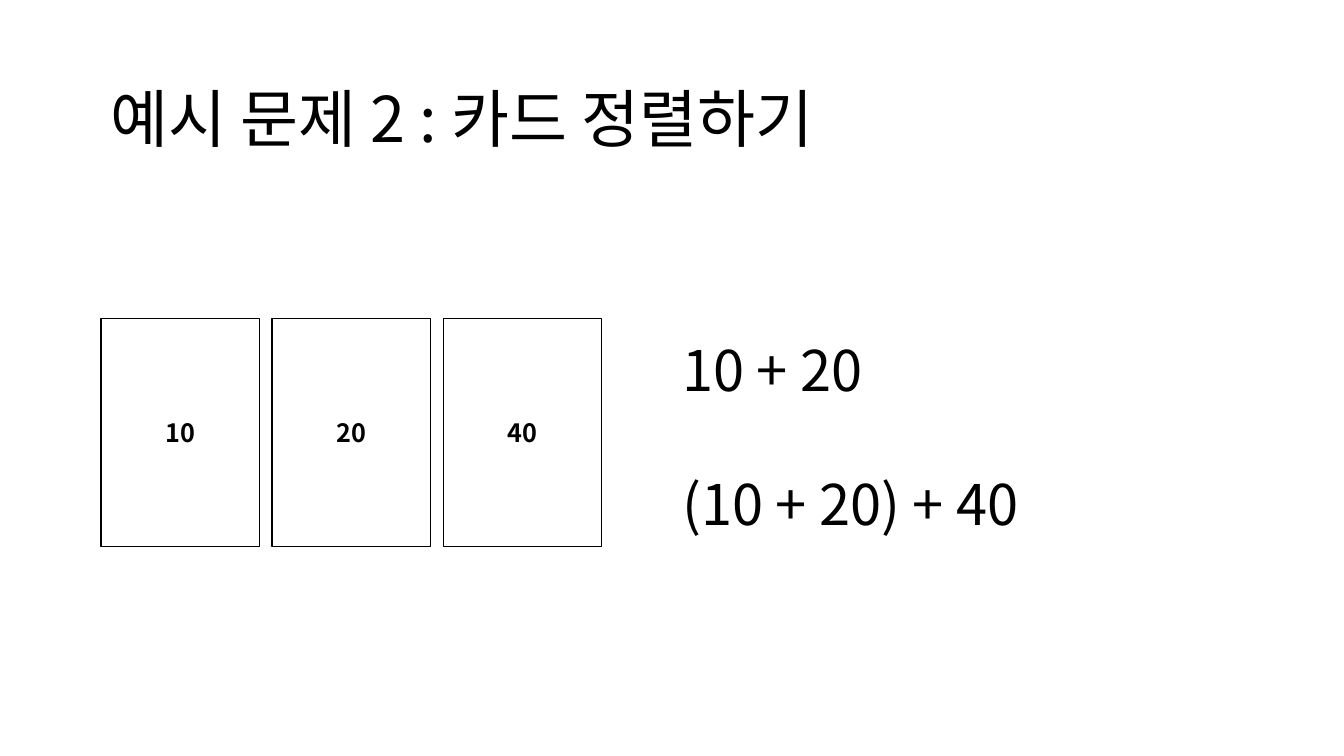
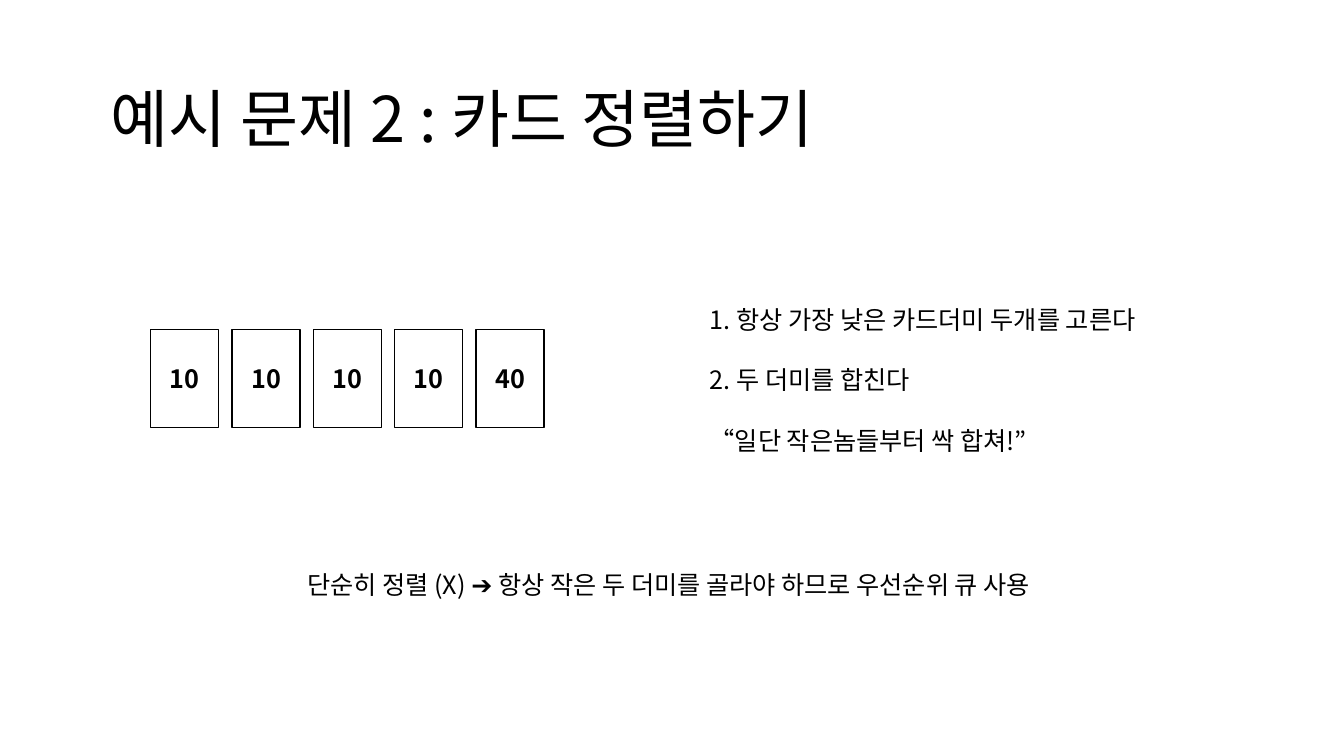
from dataclasses import dataclass

from lxml.etree import SubElement
from pptx import Presentation
from pptx.dml.color import RGBColor
from pptx.enum.shapes import MSO_SHAPE as Shape
from pptx.enum.text import MSO_ANCHOR as Anchor, MSO_AUTO_SIZE as AutoSize, PP_ALIGN as Align
from pptx.oxml.ns import qn
from pptx.util import Cm, Pt


@dataclass(frozen=True)
class Theme:
    font: str = "Noto Sans CJK KR"
    ink: RGBColor = RGBColor(0, 0, 0)
    paper: RGBColor = RGBColor(255, 255, 255)
    title_size: int = 45
    formula_size: int = 40
    text_size: int = 18
    outline: float = 1
    line_height: float = 1.2


THEME = Theme()
TITLE = "예시 문제 2 : 카드 정렬하기"


def write_text(shape, *lines, size=THEME.text_size, bold=False,
               align=Align.LEFT, anchor=Anchor.TOP, gap=0):
    frame = shape.text_frame
    frame.word_wrap = True
    frame.auto_size = AutoSize.NONE
    frame.vertical_anchor = anchor
    frame.text = "\n".join(lines)
    for paragraph in frame.paragraphs:
        paragraph.alignment = align
        paragraph.line_spacing = Pt(size * THEME.line_height)
        paragraph.space_before = Pt(0)
        paragraph.space_after = Pt(gap)
        for run in paragraph.runs:
            font = run.font
            font.name, font.size, font.bold = THEME.font, Pt(size), bold
            font.color.rgb = THEME.ink
            SubElement(font._element, qn("a:ea"), typeface=THEME.font)


def place(shape, left, top, width, height):
    shape.left, shape.top = Cm(left), Cm(top)
    shape.width, shape.height = Cm(width), Cm(height)


def add_titled_slide(presentation):
    slide = presentation.slides.add_slide(presentation.slide_layouts[1])
    fill = slide.background.fill
    fill.solid()
    fill.fore_color.rgb = THEME.paper
    place(slide.shapes.title, 2.54, 1.87, 28.75, 2.18)
    write_text(slide.shapes.title, TITLE, size=THEME.title_size)
    return slide


def fill_body(slide, lines, box, size):
    body = slide.placeholders[1]
    place(body, *box)
    write_text(body, *lines, size=size, gap=size * THEME.line_height)
    for paragraph in body.text_frame.paragraphs:
        properties = paragraph._p.get_or_add_pPr()
        properties.set("marL", "0")
        properties.set("indent", "0")
        SubElement(properties, qn("a:buNone"))


def add_cards(slide, values, left, top, width, height, gap):
    cards = slide.shapes.add_group_shape().shapes
    for index, value in enumerate(values):
        card = cards.add_shape(Shape.RECTANGLE, Cm(left + index * (width + gap)),
                               Cm(top), Cm(width), Cm(height))
        card.shadow.inherit = False
        card.fill.background()
        card.line.color.rgb = THEME.ink
        card.line.width = Pt(THEME.outline)
        write_text(card, str(value), bold=True, align=Align.CENTER, anchor=Anchor.MIDDLE)


def add_note(slide, text, left, top, width, height):
    note = slide.shapes.add_textbox(Cm(left), Cm(top), Cm(width), Cm(height))
    write_text(note, text)


def build_sum_slide(presentation):
    slide = add_titled_slide(presentation)
    add_cards(slide, (10, 20, 40), left=2.55, top=8.03, width=3.99, height=5.74, gap=0.32)
    fill_body(slide, ("10 + 20", "(10 + 20) + 40"),
              (16.94, 8.33, 10.95, 5.38), THEME.formula_size)


def build_strategy_slide(presentation):
    slide = add_titled_slide(presentation)
    add_cards(slide, (10, 10, 10, 10, 40), left=3.8, top=8.31, width=1.71, height=2.46, gap=0.34)
    rules = ("1. 항상 가장 낮은 카드더미 두개를 고른다", "2. 두 더미를 합친다",
             "“일단 작은놈들부터 싹 합쳐!”")
    fill_body(slide, rules, (17.63, 7.53, 13.28, 4.11), THEME.text_size)
    add_note(slide, "단순히 정렬 (X) ➔ 항상 작은 두 더미를 골라야 하므로 우선순위 큐 사용",
             7.49, 14.23, 18.87, 1.02)


def main():
    presentation = Presentation()
    presentation.slide_width, presentation.slide_height = Cm(33.87), Cm(19.05)
    build_sum_slide(presentation)
    build_strategy_slide(presentation)
    presentation.save("out.pptx")


if __name__ == "__main__":
    main()
